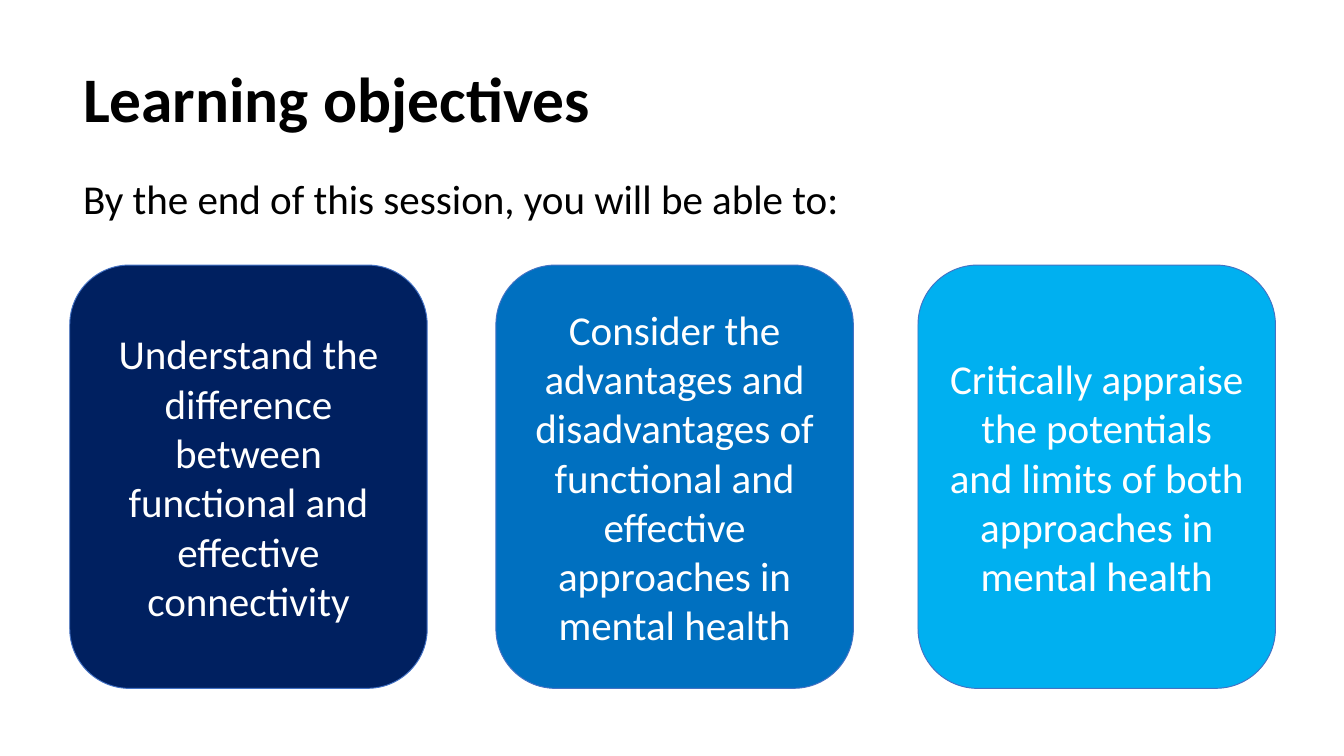
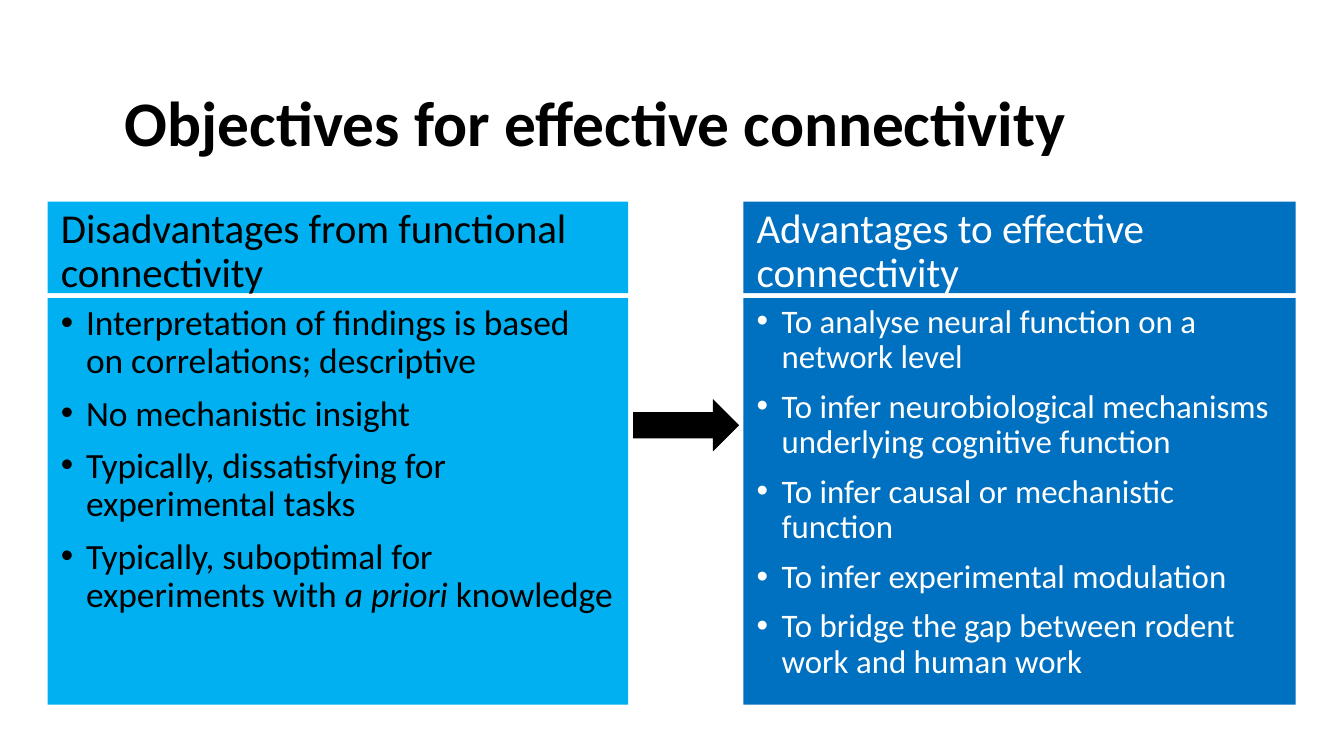
from dataclasses import dataclass

from lxml import etree
from pptx import Presentation
from pptx.dml.color import RGBColor
from pptx.enum.shapes import MSO_SHAPE
from pptx.enum.text import MSO_ANCHOR, PP_ALIGN
from pptx.oxml.ns import qn
from pptx.util import Pt

RECT, ROUND, ARROW = MSO_SHAPE.RECTANGLE, MSO_SHAPE.ROUNDED_RECTANGLE, MSO_SHAPE.RIGHT_ARROW
TOP, MID = MSO_ANCHOR.TOP, MSO_ANCHOR.MIDDLE
LEFT, CENTER = PP_ALIGN.LEFT, PP_ALIGN.CENTER


@dataclass(frozen=True)
class Theme:
    font: str = "Calibri"
    black: str = "000000"
    white: str = "FFFFFF"
    navy: str = "002060"
    blue: str = "0070C0"
    sky: str = "00B0F0"
    edge: str = "4472C4"
    title: float = 34
    body: float = 22
    tight: float = 0.9
    gap: float = 7.5
    indent: float = 13.5


T = Theme()

# Content: a paragraph is a list of (text, italic) runs or a plain string.
GOALS = {
    "title": "Learning objectives",
    "spot": (37.4, 15.1, 634.3, 78.5),
    "lead": "By the end of this session, you will be able to:",
    "cards": [
        (37.4, T.navy, "Understand the difference between functional and effective connectivity"),
        (265.7, T.blue, "Consider the advantages and disadvantages of functional and "
                        "effective approaches in mental health"),
        (491.8, T.sky, "Critically appraise the potentials and limits of both "
                       "approaches in mental health"),
    ],
}
SHIFT = {
    "title": "Objectives for effective connectivity",
    "spot": (59.8, 25.9, 555.1, 82.8),
    "panels": [
        {
            "head": "Disadvantages from functional connectivity",
            "left": 25.5, "width": 311, "fill": T.sky, "ink": T.black, "size": 19,
            "points": [
                "Interpretation of findings is based on correlations; descriptive",
                "No mechanistic insight",
                "Typically, dissatisfying for experimental tasks",
                [("Typically, suboptimal for experiments with ", False),
                 ("a priori", True), (" knowledge", False)],
            ],
        },
        {
            "head": "Advantages to effective connectivity",
            "left": 398.2, "width": 296, "fill": T.blue, "ink": T.white, "size": 17.6,
            "points": [
                "To analyse neural function on a network level",
                "To infer neurobiological mechanisms underlying cognitive function",
                "To infer causal or mechanistic function",
                "To infer experimental modulation",
                "To bridge the gap between rodent work and human work",
            ],
        },
    ],
}


def rgb(code):
    return RGBColor.from_string(code)


def bullet(para):
    props = para._p.get_or_add_pPr()
    props.set("marL", str(Pt(T.indent)))
    props.set("indent", str(-Pt(T.indent)))
    etree.SubElement(props, qn("a:buFont")).set("typeface", "Arial")
    etree.SubElement(props, qn("a:buChar")).set("char", "•")


def write(shape, paras, size, ink, align=LEFT, anchor=TOP, tight=None, bold=False, dots=False):
    frame = shape.text_frame
    frame.word_wrap = True
    frame.vertical_anchor = anchor
    for i, runs in enumerate(paras):
        para = frame.add_paragraph() if i else frame.paragraphs[0]
        if dots:
            bullet(para)
        para.alignment = align
        if tight:
            para.line_spacing = tight
        if i:
            para.space_before = Pt(T.gap)
        for text, slant in [(runs, False)] if isinstance(runs, str) else runs:
            run = para.add_run()
            run.text = text
            font = run.font
            font.name, font.size = T.font, Pt(size)
            font.bold, font.italic = bold, slant
            font.color.rgb = rgb(ink)


def block(slide, kind, spot, fill, edge=None):
    shape = slide.shapes.add_shape(kind, *map(Pt, spot))
    shape.shadow.inherit = False
    shape.fill.solid()
    shape.fill.fore_color.rgb = rgb(fill)
    if edge:
        shape.line.color.rgb = rgb(edge)
        shape.line.width = Pt(0.5)
    else:
        shape.line.fill.background()
    return shape


def start(deck, data):
    """Add a blank slide that carries the shared title style."""
    slide = deck.slides.add_slide(deck.slide_layouts[6])
    box = slide.shapes.add_textbox(*map(Pt, data["spot"]))
    write(box, [data["title"]], T.title, T.black, anchor=MID, tight=T.tight, bold=True)
    return slide


def goals(deck):
    slide = start(deck, GOALS)
    lead = slide.shapes.add_textbox(Pt(37.4), Pt(89.3), Pt(606.2), Pt(33.8))
    write(lead, [GOALS["lead"]], T.body, T.black)
    for left, fill, text in GOALS["cards"]:
        card = block(slide, ROUND, (left, 142, 191.5, 226.8), fill, T.edge)
        write(card, [text], T.body, T.white, CENTER, MID)


def shift(deck):
    slide = start(deck, SHIFT)
    for p in SHIFT["panels"]:
        left, width, fill, ink = p["left"], p["width"], p["fill"], p["ink"]
        head = block(slide, RECT, (left, 108, width, 49), fill)
        write(head, [p["head"]], T.body, ink, tight=T.tight)
        body = block(slide, RECT, (left, 159.8, width, 217.8), fill)
        write(body, p["points"], p["size"], ink, tight=T.tight, dots=True)
    block(slide, ARROW, (339.1, 213.8, 56.9, 28.1), T.black)


def main():
    deck = Presentation()
    deck.slide_width, deck.slide_height = Pt(720), Pt(405)
    goals(deck)
    shift(deck)
    deck.save("out.pptx")


if __name__ == "__main__":
    main()
